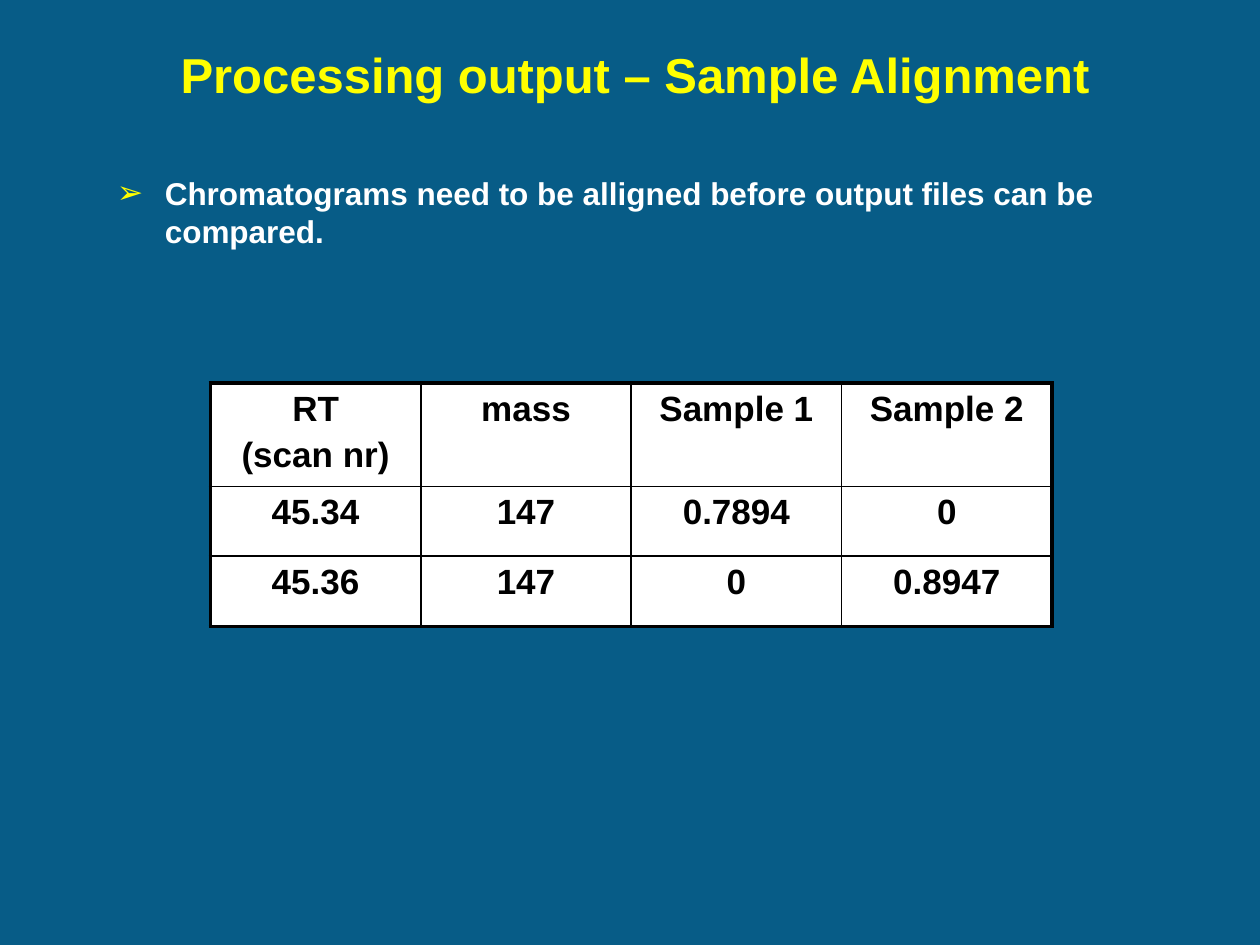
from dataclasses import dataclass

from lxml.etree import SubElement
from pptx import Presentation
from pptx.dml.color import RGBColor as Color
from pptx.enum.text import MSO_ANCHOR as Anchor, PP_ALIGN as Align
from pptx.oxml.ns import qn
from pptx.util import Inches, Pt

# Content
TITLE = "Processing output – Sample Alignment"
BULLETS = ["Chromatograms need to be alligned before output files can be compared."]
TABLE = [
    [["RT", "(scan nr)"], ["mass"], ["Sample 1"], ["Sample 2"]],
    [["45.34"], ["147"], ["0.7894"], ["0"]],
    [["45.36"], ["147"], ["0"], ["0.8947"]],
]
ROW_HEIGHTS = [0.78, 0.55, 0.56]
COLUMN_WIDTH = 1.67


@dataclass(frozen=True)
class Theme:
    font: str = "Arial"
    background: str = "075C87"
    accent: str = "FFFF00"
    body: str = "FFFFFF"
    cell_fill: str = "FFFFFF"
    cell_text: str = "000000"
    border: str = "000000"
    title_size: float = 28
    body_size: float = 18
    cell_size: float = 20
    outer_line: float = 2.25
    inner_line: float = 1


THEME = Theme()


def format_para(para, text, size, color, align):
    para.alignment = align
    span = para.add_run()
    span.text = text
    values = {"name": THEME.font, "size": Pt(size), "bold": True}
    for name, value in values.items():
        setattr(span.font, name, value)
    span.font.color.rgb = Color.from_string(color)


def add_text_frame(slide, left, top, width, height, anchor):
    box = slide.shapes.add_textbox(*map(Inches, (left, top, width, height)))
    box.text_frame.word_wrap = True
    box.text_frame.vertical_anchor = anchor
    return box.text_frame


def add_color(parent, color):
    SubElement(parent, qn("a:srgbClr")).set("val", color)


def add_bullet(para):
    properties = para._p.get_or_add_pPr()
    properties.set("marL", str(Inches(0.38)))
    properties.set("indent", str(-Inches(0.38)))
    add_color(SubElement(properties, qn("a:buClr")), THEME.accent)
    SubElement(properties, qn("a:buFont")).set("typeface", THEME.font)
    SubElement(properties, qn("a:buChar")).set("char", "➢")


def add_borders(cell, outer_sides):
    properties = cell._tc.get_or_add_tcPr()
    for side in ("L", "R", "T", "B"):
        width = THEME.outer_line if outer_sides[side] else THEME.inner_line
        line = SubElement(properties, qn(f"a:ln{side}"))
        line.set("w", str(Pt(width)))
        add_color(SubElement(line, qn("a:solidFill")), THEME.border)


def add_data_table(slide):
    rows, columns = len(TABLE), len(TABLE[0])
    size = (columns * COLUMN_WIDTH, sum(ROW_HEIGHTS))
    table = slide.shapes.add_table(rows, columns, *map(Inches, (1.67, 3.04, *size))).table
    for column in table.columns:
        column.width = Inches(COLUMN_WIDTH)
    for row, height in zip(table.rows, ROW_HEIGHTS):
        row.height = Inches(height)
    for r, row in enumerate(TABLE):
        for c, lines in enumerate(row):
            cell = table.cell(r, c)
            add_borders(cell, {"L": c == 0, "R": c == columns - 1,
                               "T": r == 0, "B": r == rows - 1})
            cell.fill.solid()
            cell.fill.fore_color.rgb = Color.from_string(THEME.cell_fill)
            for i, text in enumerate(lines):
                para = cell.text_frame.add_paragraph() if i else cell.text_frame.paragraphs[0]
                para.space_before = Pt(4 if i else 0)
                format_para(para, text, THEME.cell_size, THEME.cell_text, Align.CENTER)


def main():
    deck = Presentation()
    deck.slide_width, deck.slide_height = Inches(10), Inches(7.5)
    slide = deck.slides.add_slide(deck.slide_layouts[6])
    slide.background.fill.solid()
    slide.background.fill.fore_color.rgb = Color.from_string(THEME.background)

    # Title
    frame = add_text_frame(slide, 0.83, 0.17, 8.42, 0.83, Anchor.MIDDLE)
    format_para(frame.paragraphs[0], TITLE, THEME.title_size, THEME.accent, Align.CENTER)

    # Bullet list
    frame = add_text_frame(slide, 0.83, 1.33, 8.5, 2.33, Anchor.TOP)
    for i, text in enumerate(BULLETS):
        para = frame.add_paragraph() if i else frame.paragraphs[0]
        add_bullet(para)
        format_para(para, text, THEME.body_size, THEME.body, Align.LEFT)

    # Aligned samples
    add_data_table(slide)
    deck.save("out.pptx")


if __name__ == "__main__":
    main()
